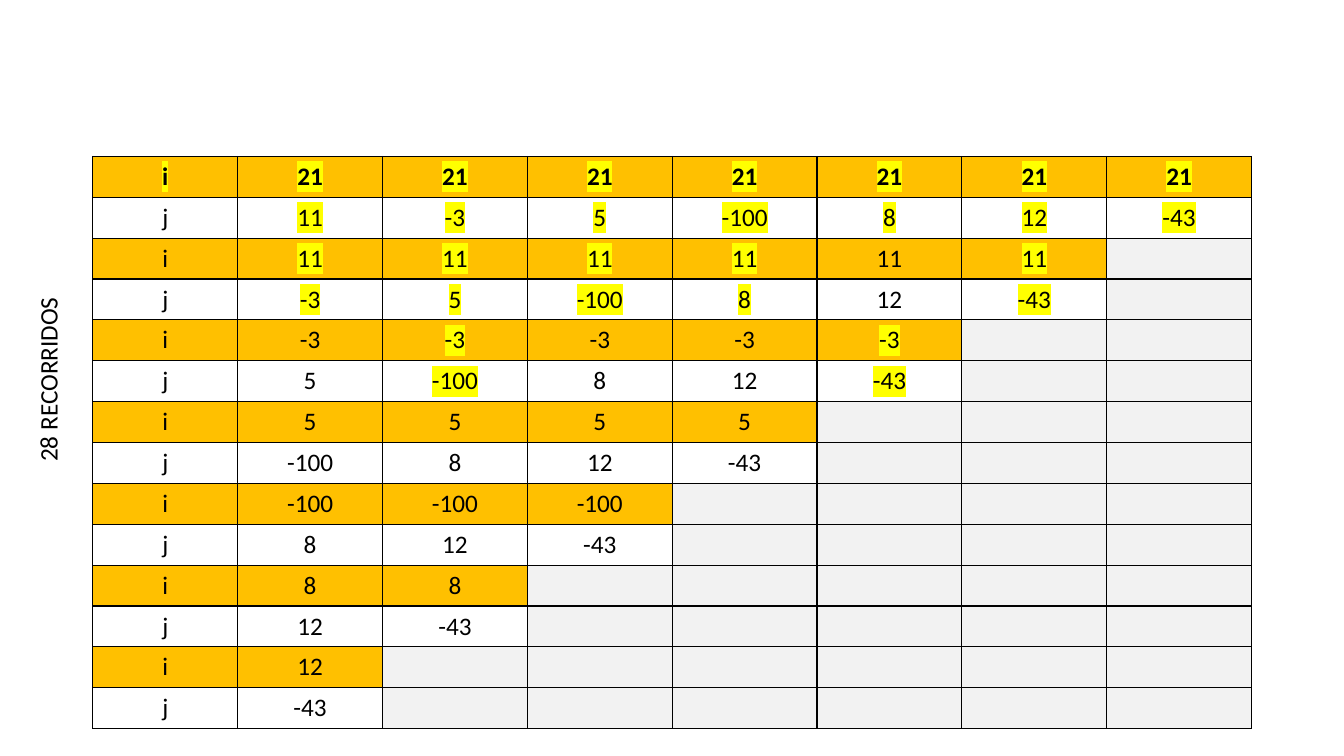
from lxml import etree
from pptx import Presentation, util as u
from pptx.dml.color import RGBColor
from pptx.enum import text
from pptx.oxml import ns

HUES = {"ink": "000000", "gold": "FFC000", "gray": "F2F2F2", "mark": "FFFF00"}
NUMS = [21, 11, -3, 5, -100, 8, 12, -43]
SIZE = len(NUMS)
MARKED = 3  # rounds whose swaps are highlighted


def add_run(para, words, bold=False, mark=False):
    run = para.add_run()
    run.text = words
    font = run.font
    font.size, font.bold = u.Pt(18), bold
    font.color.rgb = RGBColor.from_string(HUES["ink"])
    font.name = "Calibri"
    if mark:
        light = etree.Element(ns.qn("a:highlight"))
        etree.SubElement(light, ns.qn("a:srgbClr"), val=HUES["mark"])
        run._r.rPr.find(ns.qn("a:solidFill")).addnext(light)


def add_edges(cell):
    props = cell._tc.get_or_add_tcPr()
    for spot, side in enumerate(("lnL", "lnR", "lnT", "lnB")):
        line = etree.Element(ns.qn("a:" + side), w=str(u.Pt(1)))
        fill = etree.SubElement(line, ns.qn("a:solidFill"))
        etree.SubElement(fill, ns.qn("a:srgbClr"), val=HUES["ink"])
        props.insert(spot, line)


deck = Presentation()
deck.slide_width, deck.slide_height = u.Cm(33.87), u.Cm(19.05)
slide = deck.slides.add_slide(deck.slide_layouts[6])

# Table: two rows, i and j, for each round
count = 2 * (SIZE - 1)
frame = slide.shapes.add_table(count, SIZE, u.Cm(2.34), u.Cm(3.94),
                               u.Cm(29.2), u.Cm(1.03 * count))
table = frame.table
table.horz_banding = False
for row in table.rows:
    row.height = u.Cm(1.03)

for y in range(count):
    turn, is_j = divmod(y, 2)
    first, rest = NUMS[turn], NUMS[turn + 1:]
    for x in range(SIZE):
        cell = table.cell(y, x)
        cell.fill.background()
        used = x <= len(rest)
        if not used or not is_j:
            cell.fill.solid()
            hue = HUES["gold" if used else "gray"]
            cell.fill.fore_color.rgb = RGBColor.from_string(hue)
        add_edges(cell)
        if not used:
            continue
        if x == 0:
            words, mark = "ij"[is_j], y == 0
        else:
            other = rest[x - 1]
            words = str(other if is_j else first)
            mark = turn < MARKED and first > other
        para = cell.text_frame.paragraphs[0]
        para.alignment = text.PP_ALIGN.CENTER
        add_run(para, words, y == 0, mark)

# Side label, reading upwards
label = slide.shapes.add_textbox(u.Cm(-1.14), u.Cm(9.02), u.Cm(4.7), u.Cm(1.03))
label.rotation = 270
label.text_frame.word_wrap = False
label.text_frame.auto_size = text.MSO_AUTO_SIZE.SHAPE_TO_FIT_TEXT
add_run(label.text_frame.paragraphs[0], "28 RECORRIDOS")

deck.save("out.pptx")
